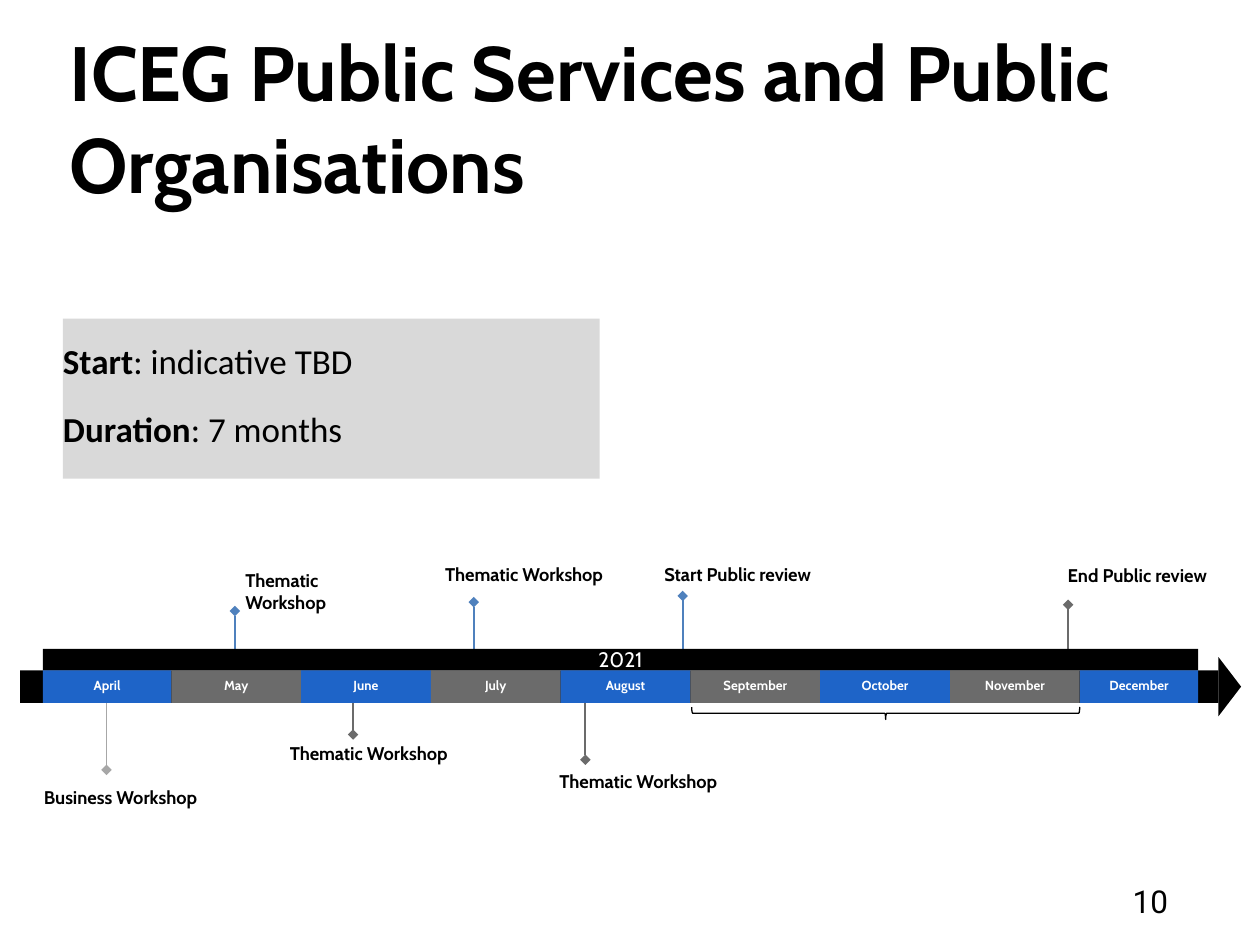
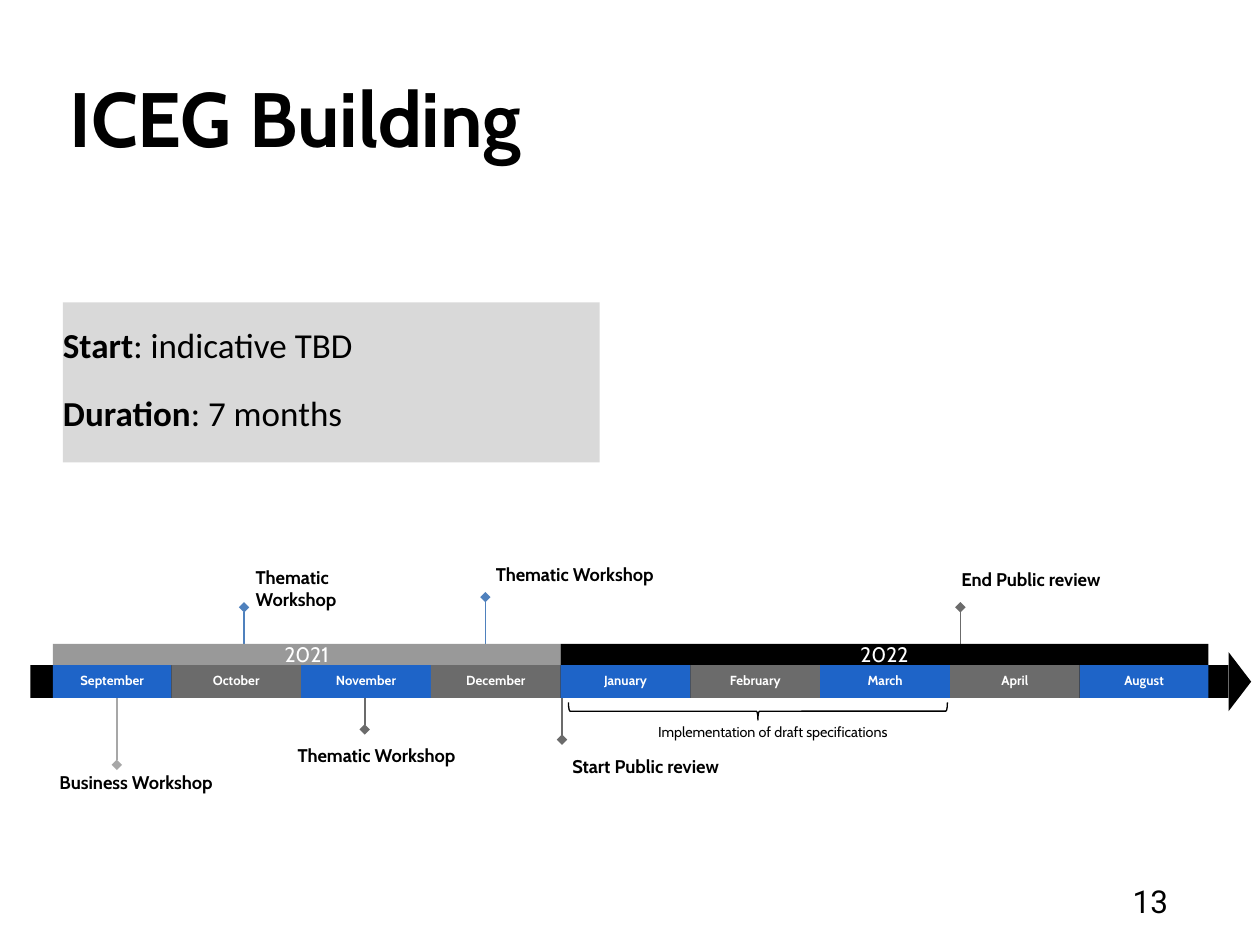
from dataclasses import dataclass

from lxml import etree
from pptx import Presentation
from pptx.dml.color import RGBColor
from pptx.enum.shapes import MSO_CONNECTOR, MSO_SHAPE
from pptx.enum.text import MSO_ANCHOR, MSO_AUTO_SIZE, PP_ALIGN
from pptx.oxml.ns import qn
from pptx.util import Inches, Pt

RECTANGLE = MSO_SHAPE.RECTANGLE
TRIANGLE = MSO_SHAPE.ISOSCELES_TRIANGLE
LEFT_BRACE = MSO_SHAPE.LEFT_BRACE
STRAIGHT = MSO_CONNECTOR.STRAIGHT
TOP, MIDDLE = MSO_ANCHOR.TOP, MSO_ANCHOR.MIDDLE
LEFT, CENTER, RIGHT = PP_ALIGN.LEFT, PP_ALIGN.CENTER, PP_ALIGN.RIGHT
NO_AUTOFIT = MSO_AUTO_SIZE.NONE

BLACK = RGBColor(0x00, 0x00, 0x00)
WHITE = RGBColor(0xFF, 0xFF, 0xFF)
BLUE = RGBColor(0x1E, 0x64, 0xC8)
STEEL = RGBColor(0x4F, 0x81, 0xBD)
GRAY = RGBColor(0x6B, 0x6B, 0x6B)
MID_GRAY = RGBColor(0x99, 0x99, 0x99)
SILVER = RGBColor(0xA7, 0xA7, 0xA7)
PALE_GRAY = RGBColor(0xD9, 0xD9, 0xD9)

HEADING_FONT, NOTE_FONT, NUMBER_FONT = "Cabin", "Calibri", "Roboto"

WIDTH, HEIGHT = 10, 7.5
MARGIN = 0.05 * WIDTH
GRID_LEFT, COLUMN, ROW = 0.33, 1.03, 0.26
BAND_WIDTH, BAND_HEIGHT = 9.17, 0.17
AXIS_OVERHANG, AXIS_WIDTH = 0.18, 9.51
ARROW_BASE, ARROW_LENGTH = 0.47, 0.18
ONE_LINE = 1.23
NOTES = (("Start", ": indicative TBD"), ("Duration", ": 7 months"))


@dataclass(frozen=True)
class Year:
    text: str
    first: int
    end: int
    color: RGBColor


@dataclass(frozen=True)
class Label:
    text: str
    column: float
    row: float
    columns: float = ONE_LINE
    align: PP_ALIGN = LEFT
    size: float = 10.5
    bold: bool = True


@dataclass(frozen=True)
class Milestone:
    column: float
    tip_row: float
    color: RGBColor
    label: Label


@dataclass(frozen=True)
class Brace:
    column: float
    columns: float
    row: float
    rows: float


@dataclass(frozen=True)
class Roadmap:
    title: str
    number: str
    note_top: float
    left: float
    top: float
    months: tuple[str, ...]
    years: tuple[Year, ...]
    milestones: tuple[Milestone, ...]
    brace: Brace
    captions: tuple[Label, ...] = ()

    def x(self, column: float) -> float:
        return GRID_LEFT + column * COLUMN

    def y(self, row: float) -> float:
        return self.top + row * ROW

    def span(self, first: int, end: int) -> tuple[float, float]:
        start = max(self.x(first), self.left)
        stop = min(self.x(end), self.left + BAND_WIDTH)
        if first == 0:
            start = self.left
        if end == len(self.months):
            stop = self.left + BAND_WIDTH
        return start, stop - start


ROADMAPS = (
    Roadmap(
        "ICEG Public Services and Public Organisations", "10", 2.53, 0.34, 5.32,
        ("April", "May", "June", "July", "August", "September",
         "October", "November", "December"),
        (Year("2021", 0, 9, BLACK),),
        (
            Milestone(0.5, 3.04, SILVER, Label("Business Workshop", -0.03, 3.54, align=RIGHT)),
            Milestone(1.49, -1.81, STEEL, Label("Thematic Workshop", 1.57, -3.08, 1)),
            Milestone(2.4, 1.96, GRAY, Label("Thematic Workshop", 1.9, 2.19, align=RIGHT)),
            Milestone(3.33, -2.08, STEEL, Label("Thematic Workshop", 3.11, -3.27)),
            Milestone(4.19, 2.73, GRAY, Label("Thematic Workshop", 3.99, 3.04)),
            Milestone(4.94, -2.27, STEEL, Label("Start Public review", 4.7, -3.27, align=RIGHT)),
            Milestone(7.91, -2, GRAY, Label("End Public review", 7.75, -3.23, align=RIGHT)),
        ),
        Brace(5.01, 2.99, 1.12, 0.38),
    ),
    Roadmap(
        "ICEG Building", "13", 2.4, 0.42, 5.28,
        ("September", "October", "November", "December", "January",
         "February", "March", "April", "August"),
        (Year("2021", 0, 4, MID_GRAY), Year("2022", 4, 9, BLACK)),
        (
            Milestone(0.58, 3.04, SILVER, Label("Business Workshop", 0.09, 3.23, align=RIGHT)),
            Milestone(1.56, -1.77, STEEL, Label("Thematic Workshop", 1.65, -3.04, 1)),
            Milestone(2.49, 1.96, GRAY, Label("Thematic Workshop", 1.96, 2.42, align=RIGHT)),
            Milestone(3.42, -2.08, STEEL, Label("Thematic Workshop", 3.5, -3.12)),
            Milestone(4.01, 2.27, GRAY, Label("Start Public review", 3.99, 2.73, align=RIGHT)),
            Milestone(7.08, -1.77, GRAY, Label("End Public review", 6.93, -2.96, align=RIGHT)),
        ),
        Brace(4.06, 2.92, 1.13, 0.54),
        (Label("Implementation of draft specifications", 4.72, 1.77, 1.83, CENTER, 8.2, False),),
    ),
)


def style(paragraph, font: str, size: float, color: RGBColor = BLACK,
          bold: bool = False, align: PP_ALIGN = LEFT) -> None:
    paragraph.alignment = align
    paragraph.font.name = font
    paragraph.font.size = Pt(size)
    paragraph.font.color.rgb = color
    paragraph.font.bold = bold


def frame(shape, margins: tuple[float, float, float, float], anchor: MSO_ANCHOR = TOP):
    text_frame = shape.text_frame
    text_frame.word_wrap = True
    text_frame.auto_size = NO_AUTOFIT
    text_frame.vertical_anchor = anchor
    (text_frame.margin_left, text_frame.margin_top,
     text_frame.margin_right, text_frame.margin_bottom) = map(Inches, margins)
    return text_frame


def add_block(slide, kind: MSO_SHAPE, left: float, top: float, width: float,
              height: float, color: RGBColor):
    shape = slide.shapes.add_shape(kind, *map(Inches, (left, top, width, height)))
    shape.shadow.inherit = False
    shape.fill.solid()
    shape.fill.fore_color.rgb = color
    shape.line.fill.background()
    return shape


def add_text(slide, left: float, top: float, width: float, height: float,
             text: str, margin: float = 0):
    box = slide.shapes.add_textbox(*map(Inches, (left, top, width, height)))
    text_frame = frame(box, (margin,) * 4)
    text_frame.text = text
    return text_frame.paragraphs[0]


def add_title(slide, text: str) -> None:
    title = slide.shapes.title
    title.left, title.top = Inches(MARGIN), Inches(0.1)
    title.width, title.height = Inches(WIDTH - 2 * MARGIN), Inches(0.22 * HEIGHT)
    text_frame = frame(title, (0.05,) * 4, MIDDLE)
    text_frame.text = text
    style(text_frame.paragraphs[0], HEADING_FONT, 44, bold=True)


def add_notes_panel(slide, top: float) -> None:
    panel = add_block(slide, RECTANGLE, MARGIN, top, 4.26, 1.27, PALE_GRAY)
    text_frame = frame(panel, (0, 0, 0, 0.05))
    for index, (term, detail) in enumerate(NOTES):
        paragraph = text_frame.add_paragraph() if index else text_frame.paragraphs[0]
        style(paragraph, NOTE_FONT, 20)
        paragraph.line_spacing = 1.5
        paragraph.space_before = Pt(3)
        for text, bold in ((term, True), (detail, False)):
            run = paragraph.add_run()
            run.text = text
            run.font.bold = bold


def add_label(slide, roadmap: Roadmap, label: Label) -> None:
    paragraph = add_text(slide, roadmap.x(label.column), roadmap.y(label.row),
                         label.columns * COLUMN, 0.44, label.text)
    style(paragraph, HEADING_FONT, label.size, bold=label.bold, align=label.align)


def add_stem(slide, roadmap: Roadmap, milestone: Milestone) -> None:
    x = Inches(roadmap.x(milestone.column))
    base_row = 0 if milestone.tip_row < 0 else 1
    stem = slide.shapes.add_connector(STRAIGHT, x, Inches(roadmap.y(base_row)),
                                      x, Inches(roadmap.y(milestone.tip_row)))
    stem.line.color.rgb = milestone.color
    stem.line.width = Pt(1)
    etree.SubElement(stem.line._get_or_add_ln(), qn("a:tailEnd"), type="diamond")
    etree.SubElement(stem._element.spPr, qn("a:effectLst"))


def add_axis(slide, roadmap: Roadmap) -> None:
    left = roadmap.left - AXIS_OVERHANG
    add_block(slide, RECTANGLE, left, roadmap.top, AXIS_WIDTH, ROW, BLACK)
    center_x = left + AXIS_WIDTH + ARROW_LENGTH / 2
    arrow = add_block(slide, TRIANGLE, center_x - ARROW_BASE / 2,
                      roadmap.y(0.5) - ARROW_LENGTH / 2, ARROW_BASE, ARROW_LENGTH, BLACK)
    arrow.rotation = 90


def add_brace(slide, roadmap: Roadmap) -> None:
    brace = roadmap.brace
    length, depth = brace.columns * COLUMN, brace.rows * ROW
    center_x = roadmap.x(brace.column + brace.columns / 2)
    center_y = roadmap.y(brace.row + brace.rows / 2)
    shape = add_block(slide, LEFT_BRACE, center_x - depth / 2, center_y - length / 2,
                      depth, length, BLACK)
    shape.rotation = 270
    shape.fill.background()
    shape.line.color.rgb = BLACK
    shape.line.width = Pt(0.75)


def add_calendar(slide, roadmap: Roadmap) -> None:
    for year in roadmap.years:
        left, width = roadmap.span(year.first, year.end)
        band = add_block(slide, RECTANGLE, left, roadmap.top - BAND_HEIGHT,
                         width, BAND_HEIGHT, year.color)
        text_frame = frame(band, (0.07, 0.04, 0.07, 0.04), MIDDLE)
        text_frame.text = year.text
        style(text_frame.paragraphs[0], HEADING_FONT, 12, WHITE, align=CENTER)
    for index, month in enumerate(roadmap.months):
        left, width = roadmap.span(index, index + 1)
        cell = add_block(slide, RECTANGLE, left, roadmap.top, width, ROW,
                         GRAY if index % 2 else BLUE)
        text_frame = frame(cell, (0.06, 0.06, 0.06, 0.07))
        text_frame.text = month
        style(text_frame.paragraphs[0], HEADING_FONT, 7.5, WHITE, True, CENTER)


def add_roadmap(presentation, roadmap: Roadmap) -> None:
    slide = presentation.slides.add_slide(presentation.slide_layouts[5])
    add_title(slide, roadmap.title)
    number = add_text(slide, 8.94, 6.95, 0.56, 0.41, roadmap.number, 0.05)
    style(number, NUMBER_FONT, 18)
    add_notes_panel(slide, roadmap.note_top)
    for milestone in roadmap.milestones:
        add_stem(slide, roadmap, milestone)
    add_axis(slide, roadmap)
    for label in [milestone.label for milestone in roadmap.milestones] + list(roadmap.captions):
        add_label(slide, roadmap, label)
    add_brace(slide, roadmap)
    add_calendar(slide, roadmap)


def main() -> None:
    presentation = Presentation()
    presentation.slide_width = Inches(WIDTH)
    presentation.slide_height = Inches(HEIGHT)
    for roadmap in ROADMAPS:
        add_roadmap(presentation, roadmap)
    presentation.save("out.pptx")


if __name__ == "__main__":
    main()
